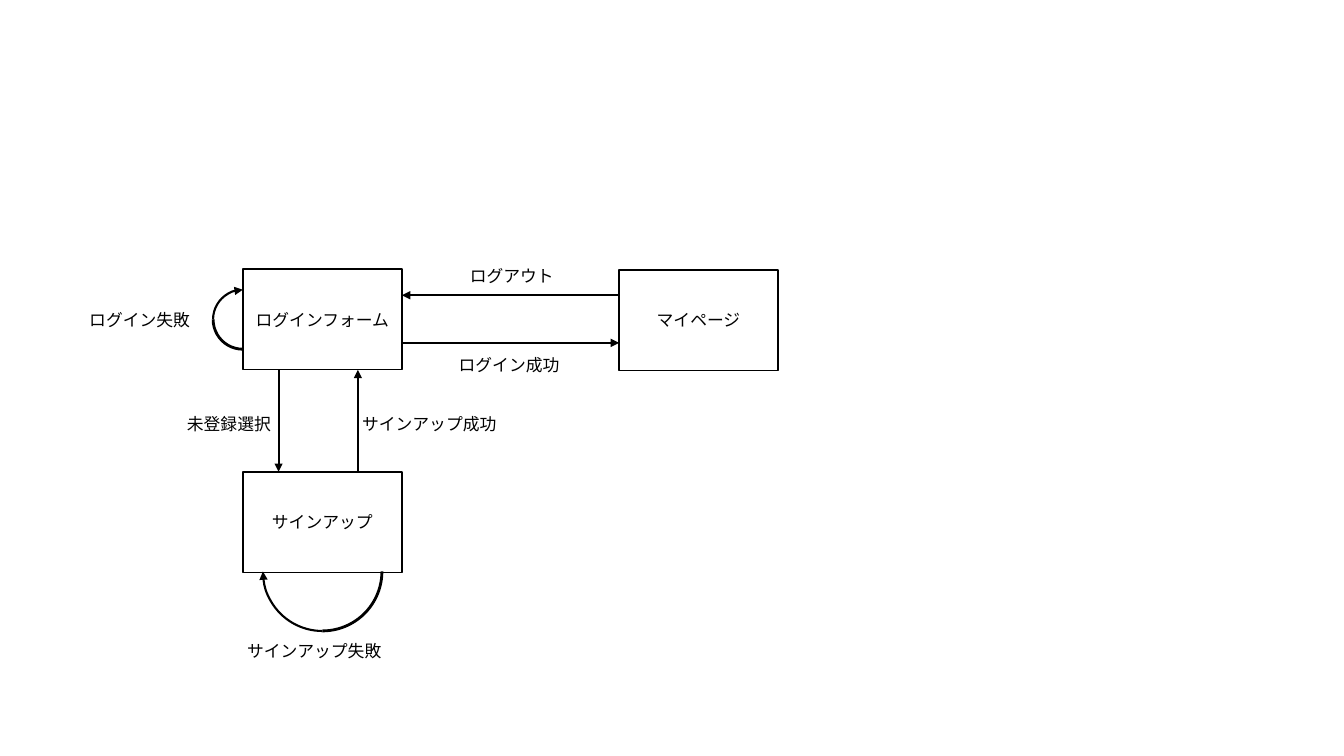
from pptx import Presentation
from pptx.dml.color import RGBColor as Rgb
from pptx.enum.shapes import MSO_CONNECTOR as Link, MSO_SHAPE as Kind
from pptx.enum.text import MSO_ANCHOR as Anchor, PP_ALIGN as Align
from pptx.oxml.ns import qn
from pptx.util import Cm, Pt
from lxml.etree import SubElement as Sub

HUES = {"ink": "000000"}
FONT = "Noto Sans CJK JP"
WIDE, HIGH = 4.01, 2.54


def write(frame, text):
    """Put one centred run of text in a frame."""
    frame.word_wrap = True
    para = frame.paragraphs[0]
    para.alignment = Align.CENTER
    run = para.add_run()
    run.text = text
    font = run.font
    font.size, font.name = Pt(12), FONT
    font.color.rgb = Rgb.from_string(HUES["ink"])
    Sub(run._r.get_or_add_rPr(), qn("a:ea"), typeface=FONT)


def stroke(line, width, arrow=False):
    """Style a line and, if asked, give its end a triangle."""
    line.color.rgb = Rgb.from_string(HUES["ink"])
    line.width = Pt(width)
    if arrow:
        Sub(line._get_or_add_ln(), qn("a:tailEnd"), type="triangle")


def state(page, left, top, text):
    """Draw a named state as a box."""
    box = page.add_shape(Kind.RECTANGLE, Cm(left), Cm(top), Cm(WIDE), Cm(HIGH))
    box.shadow.inherit = False
    box.fill.background()
    stroke(box.line, 1)
    box.text_frame.vertical_anchor = Anchor.MIDDLE
    write(box.text_frame, text)


def label(page, mid, top, text):
    """Write a label centred on mid."""
    box = page.add_textbox(Cm(mid - WIDE / 2), Cm(top), Cm(WIDE), Cm(0.77))
    write(box.text_frame, text)


def move(page, *ends):
    """Draw a straight arrow between two points."""
    line = page.add_connector(Link.STRAIGHT, *map(Cm, ends))
    stroke(line.line, 1.5, True)
    Sub(line._element.spPr, qn("a:effectLst"))


def loop(page, mid, level, size, turn):
    """Draw a half-circle arrow from two quarter arcs around a point."""
    for angle, width, arrow in ((turn, 1.5, True), (turn - 90, 2, False)):
        arc = page.add_shape(Kind.ARC, Cm(mid - size / 2), Cm(level - size / 2),
                             Cm(size), Cm(size))
        arc.rotation = angle
        arc.shadow.inherit = False
        arc.fill.background()
        stroke(arc.line, width, arrow)


def flow(page, left, top):
    """Draw the login flow from its top left corner."""
    far, low = left + 9.48, top + 5.11
    right, base = left + WIDE, top + HIGH
    state(page, left, top, "ログインフォーム")
    state(page, left, low, "サインアップ")
    state(page, far, top + 0.02, "マイページ")
    move(page, left + 0.9, base, left + 0.9, low)
    move(page, right, top + 1.86, far, top + 1.86)
    move(page, far, top + 0.66, right, top + 0.66)
    move(page, left + 2.9, low, left + 2.9, base)
    loop(page, left, top + HIGH / 2, 1.5, 270)
    loop(page, left + WIDE / 2, low + HIGH - 0.03, 3, 180)
    for x, y, text in (
        (6.71, 2.03, "ログイン成功"),
        (6.78, -0.2, "ログアウト"),
        (4.7, 3.53, "サインアップ成功"),
        (-0.35, 3.53, "未登録選択"),
        (1.8, 9.25, "サインアップ失敗"),
        (-2.6, 0.89, "ログイン失敗"),
    ):
        label(page, left + x, top + y, text)


def main():
    """Build and save the slide."""
    deck = Presentation()
    deck.slide_width, deck.slide_height = Cm(33.87), Cm(19.05)
    slide = deck.slides.add_slide(deck.slide_layouts[6])
    flow(slide.shapes.add_group_shape().shapes, 6.12, 6.78)
    deck.save("out.pptx")


if __name__ == "__main__":
    main()
